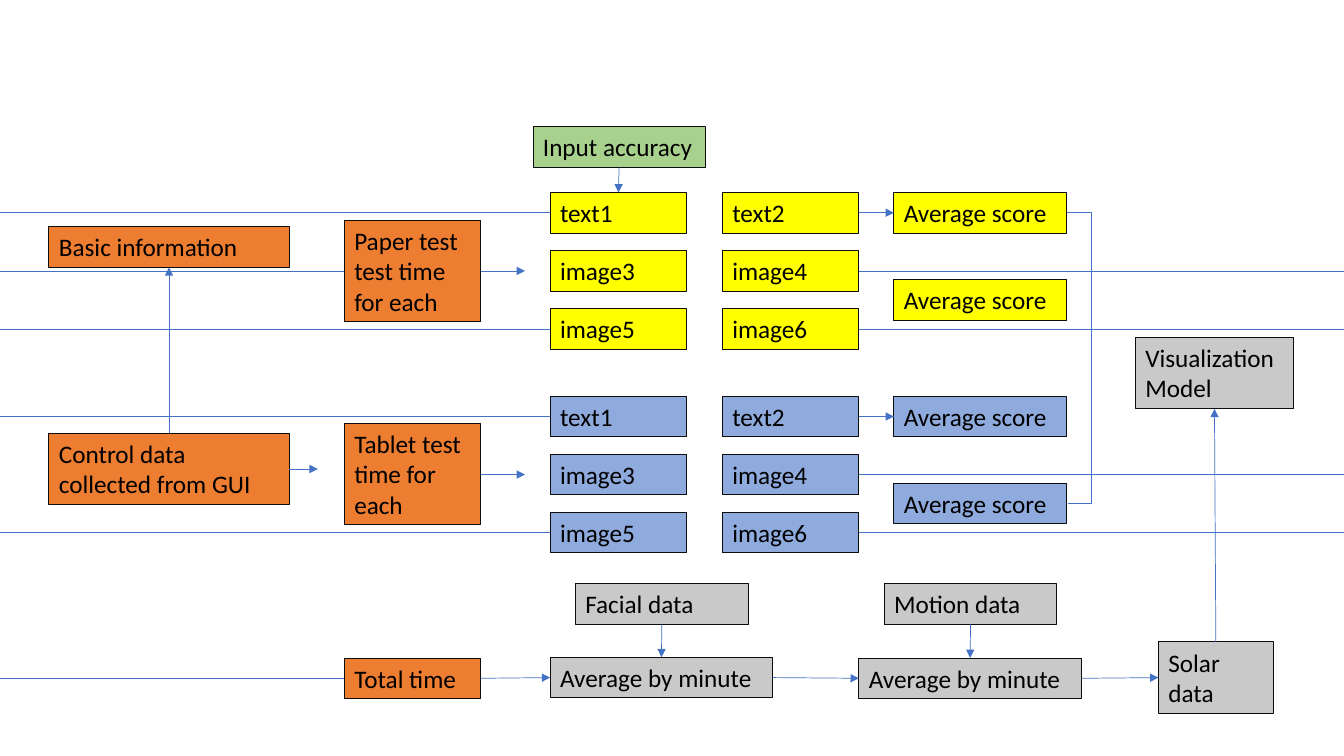
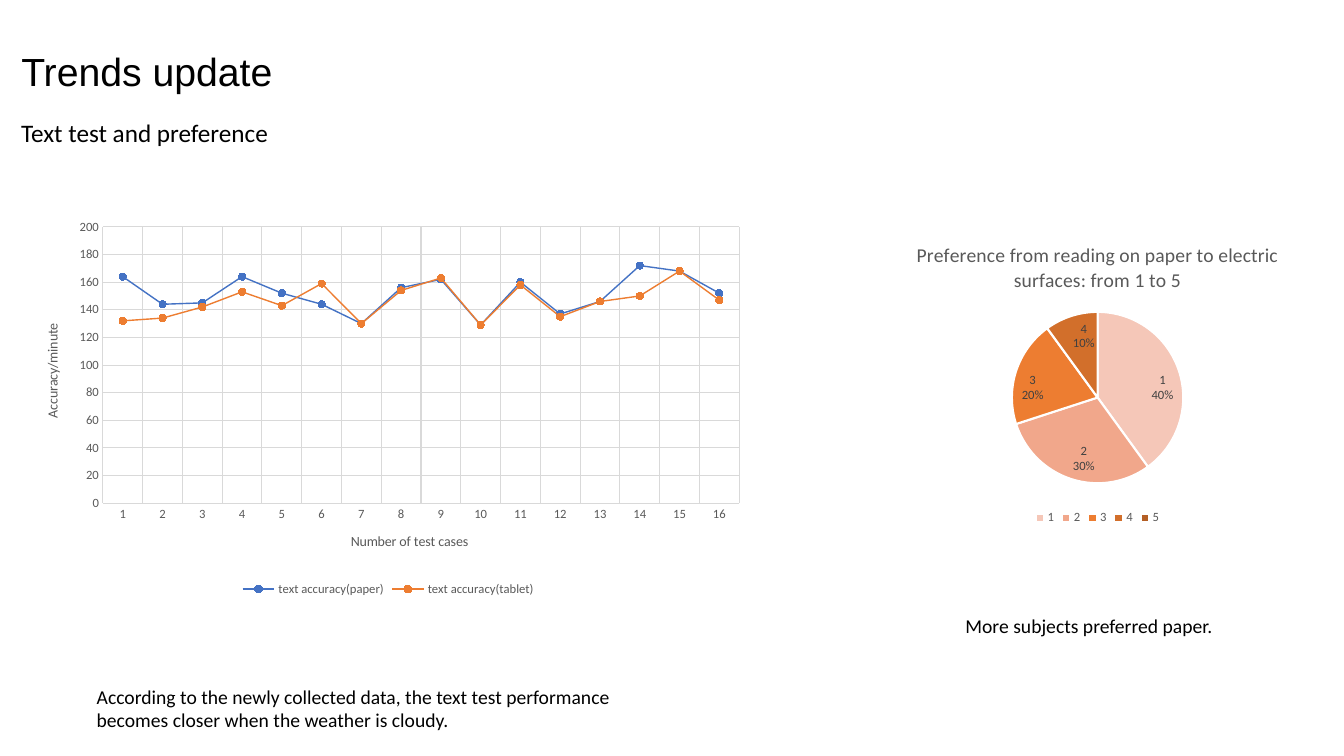
from lxml.etree import SubElement
from pptx import Presentation
from pptx.chart.data import CategoryChartData
from pptx.dml.color import RGBColor
from pptx.enum.chart import (XL_CHART_TYPE, XL_LABEL_POSITION, XL_LEGEND_POSITION,
                             XL_MARKER_STYLE, XL_TICK_MARK)
from pptx.enum.shapes import MSO_CONNECTOR
from pptx.enum.text import MSO_ANCHOR, MSO_AUTO_SIZE, PP_ALIGN
from pptx.oxml import parse_xml
from pptx.oxml.ns import qn
from pptx.util import Pt

WIDTH, HEIGHT = 960, 540
FONT, TITLE_FONT = "Calibri", "Arial"
BLACK, WHITE, BORDER = "000000", "FFFFFF", "0D0D0D"
BLUE, ORANGE = "4472C4", "ED7D31"
YELLOW, PALE_BLUE, GREEN, GREY = "FFFF00", "8FAADC", "A9D18E", "C9C9C9"
CHART_TEXT, LABEL_TEXT, GRID = "595959", "404040", "D9D9D9"
CHART_NS = "http://schemas.openxmlformats.org/drawingml/2006/chart"

# Flow boxes: key, text, fill, (left, top, width, height)
BOXES = [
    ("control", "Control data collected from GUI", ORANGE, (35, 309.5, 171.5, 51)),
    ("basic", "Basic information", ORANGE, (35, 162, 171.5, 29)),
    ("paper", "Paper test test time for each", ORANGE, (246, 157.5, 97.5, 72.5)),
    ("tablet", "Tablet test time for each", ORANGE, (246, 302.5, 97.5, 72.5)),
    ("total", "Total time", ORANGE, (246, 470, 97.5, 29)),
    ("accuracy", "Input accuracy", GREEN, (380.75, 90.5, 123, 29)),
    ("facial", "Facial data", GREY, (411, 417, 123.5, 29)),
    ("facial average", "Average by minute", GREY, (393, 469.5, 159, 29)),
    ("motion", "Motion data", GREY, (631.5, 417, 123.5, 29)),
    ("motion average", "Average by minute", GREY, (613.5, 470, 159, 29)),
    ("solar", "Solar data", GREY, (827.5, 458.5, 82, 51)),
    ("model", "Visualization Model", GREY, (811, 241, 113, 51)),
]
# Each test has a grid of three rows and two columns, then two scores
TESTS = [("paper", YELLOW, 137.5), ("tablet", PALE_BLUE, 283)]
ITEMS = [("text1", "text2"), ("image3", "image4"), ("image5", "image6")]
COLUMNS, SCORE_LEFT = (393, 516), 638.5
ITEM_W, SCORE_W, ITEM_H, ROW_STEP = 97.5, 123.5, 29, 41.5

TOP, LEFT, BOTTOM, RIGHT = range(4)  # connection sites of a rectangle
LINKS = [
    ("control", TOP, "basic", BOTTOM),
    ("accuracy", BOTTOM, "paper text1", TOP),
    ("paper text2", RIGHT, "paper score 0", LEFT),
    ("tablet text2", RIGHT, "tablet score 0", LEFT),
    ("facial", BOTTOM, "facial average", TOP),
    ("motion", BOTTOM, "motion average", TOP),
    ("total", RIGHT, "facial average", LEFT),
    ("facial average", RIGHT, "motion average", LEFT),
    ("motion average", RIGHT, "solar", LEFT),
    ("solar", TOP, "model", BOTTOM),
]
SHORT_ARROWS = [(206.5, 227, 335), (343.5, 375, 193.5), (343.5, 375, 339)]

ACCURACY = {
    "text accuracy(paper)": (BLUE, [164, 144, 145, 164, 152, 144, 130, 156,
                                    162, 129, 160, 137, 146, 172, 168, 152]),
    "text accuracy(tablet)": (ORANGE, [132, 134, 142, 153, 143, 159, 130, 154,
                                       163, 129, 158, 135, 146, 150, 168, 147]),
}
PREFERENCE = [40, 30, 20, 10, 0]
PIE_COLORS = ["F5C7B8", "F1A78B", ORANGE, "D26F2B", "B45F25"]
PIE_TITLE = "Preference from reading on paper to electric surfaces: from 1 to 5"


def rgb(value):
    return RGBColor.from_string(value)


def pts(*values):
    return [Pt(v) for v in values]


def set_font(font, size, color=BLACK, name=FONT):
    font.size, font.name, font.bold = Pt(size), name, False
    font.color.rgb = rgb(color)


def paint(fmt, color):
    fmt.fill.solid()
    fmt.fill.fore_color.rgb = rgb(color)


def stroke(line, color, width):
    line.color.rgb = rgb(color)
    line.width = Pt(width)


def add_text(s, lines, box, size, wrap=True):
    sp = s.shapes.add_textbox(*pts(*box))
    tf = sp.text_frame
    tf.word_wrap = wrap
    tf.auto_size = MSO_AUTO_SIZE.SHAPE_TO_FIT_TEXT
    tf.text = "\n".join(lines)
    for p in tf.paragraphs:
        set_font(p.font, size)
    return sp


def add_box(s, text, fill, box):
    sp = add_text(s, [text], box, 18)
    paint(sp, fill)
    stroke(sp.line, BORDER, 0.75)
    return sp


def add_line(s, start=(0, 0), end=(0, 0), arrow=False, kind=MSO_CONNECTOR.STRAIGHT):
    line = s.shapes.add_connector(kind, *pts(*start, *end))
    stroke(line.line, BLUE, 0.5)
    if arrow:
        SubElement(line.line._get_or_add_ln(), qn("a:tailEnd"), type="triangle")
    SubElement(line._element.spPr, qn("a:effectLst"))
    return line


def build_flow(s):
    boxes = {key: add_box(s, text, fill, box) for key, text, fill, box in BOXES}
    for test, fill, top in TESTS:
        for row, names in enumerate(ITEMS):
            for left, name in zip(COLUMNS, names):
                boxes[f"{test} {name}"] = add_box(
                    s, name, fill, (left, top + row * ROW_STEP, ITEM_W, ITEM_H))
        for i in range(2):
            boxes[f"{test} score {i}"] = add_box(
                s, "Average score", fill,
                (SCORE_LEFT, top + i * 1.5 * ROW_STEP, SCORE_W, ITEM_H))

    for start, start_site, end, end_site in LINKS:
        line = add_line(s, arrow=True)
        line.begin_connect(boxes[start], start_site)
        line.end_connect(boxes[end], end_site)
    for x1, x2, y in SHORT_ARROWS:
        add_line(s, (x1, y), (x2, y), arrow=True)

    # Lines that run to the slide edges
    edge_lines = [(0, 246, 193.5), (0, 246, 484.5)]
    for _, _, top in TESTS:
        mids = [top + ITEM_H / 2 + row * ROW_STEP for row in range(3)]
        edge_lines += [(0, COLUMNS[0], mids[row]) for row in (0, 2)]
        edge_lines += [(COLUMNS[1] + ITEM_W, WIDTH, mids[row]) for row in (1, 2)]
    for x1, x2, y in edge_lines:
        add_line(s, (x1, y), (x2, y))

    # Bracket from the first score to the last, 18 points out
    bracket = add_line(s, (762, 152), (763, 359.5), kind=MSO_CONNECTOR.ELBOW)
    guides = bracket._element.spPr.find(qn("a:prstGeom")).get_or_add_avLst()
    SubElement(guides, qn("a:gd"), name="adj1", fmla="val 1800000")


def set_plot_area(chart, x, y, w, h):
    """Fix the inner plot area, as fractions of the chart."""
    area = chart._chartSpace.chart.plotArea
    for old in area.findall(qn("c:layout")):
        area.remove(old)
    values = "".join(f'<c:{tag} val="{val}"/>' for tag, val in
                     zip(("x", "y", "w", "h"), (x, y, w, h)))
    area.insert(0, parse_xml(
        f'<c:layout xmlns:c="{CHART_NS}"><c:manualLayout><c:layoutTarget val="inner"/>'
        f'<c:xMode val="edge"/><c:yMode val="edge"/>{values}</c:manualLayout></c:layout>'))


def add_chart(s, kind, box, series, plot_area):
    data = CategoryChartData()
    count = len(next(iter(series.values())))
    data.categories = [str(i + 1) for i in range(count)]
    for name, values in series.items():
        data.add_series(name, values)
    chart = s.shapes.add_chart(kind, *pts(*box), data).chart
    set_font(chart.font, 10)
    chart.has_title = False
    chart.has_legend = True
    chart.legend.position = XL_LEGEND_POSITION.BOTTOM
    chart.legend.include_in_layout = False
    set_font(chart.legend.font, 9, CHART_TEXT)
    set_plot_area(chart, *plot_area)
    return chart


def set_title(title, text, size):
    title.text_frame.text = text
    set_font(title.text_frame.paragraphs[0].font, size, CHART_TEXT)


def build_accuracy_chart(s):
    chart = add_chart(s, XL_CHART_TYPE.LINE_MARKERS, (16, 151, 522.5, 278),
                      {name: values for name, (_, values) in ACCURACY.items()},
                      (0.11, 0.04, 0.87, 0.71))
    chart.plots[0].vary_by_categories = False
    for axis, text in ((chart.category_axis, "Number of test cases"),
                       (chart.value_axis, "Accuracy/minute")):
        set_title(axis.axis_title, text, 10)
        axis.major_tick_mark = axis.minor_tick_mark = XL_TICK_MARK.NONE
        axis.has_major_gridlines = True
        stroke(axis.major_gridlines.format.line, GRID, 0.75)
        set_font(axis.tick_labels.font, 9, CHART_TEXT)
    stroke(chart.category_axis.format.line, GRID, 0.75)
    value_axis = chart.value_axis
    value_axis.format.line.fill.background()
    value_axis.minimum_scale, value_axis.maximum_scale = 0, 200
    value_axis.major_unit = 20
    for series in chart.plots[0].series:
        color = ACCURACY[series.name][0]
        series.smooth = False
        stroke(series.format.line, color, 1)
        series.marker.style, series.marker.size = XL_MARKER_STYLE.CIRCLE, 5
        paint(series.marker.format, color)
        stroke(series.marker.format.line, color, 0.75)


def build_preference_chart(s):
    chart = add_chart(s, XL_CHART_TYPE.PIE, (604, 162, 360, 216),
                      {"Series 1": PREFERENCE}, (0.33, 0.28, 0.34, 0.57))
    chart.has_title = True
    set_title(chart.chart_title, PIE_TITLE, 14)
    series = chart.plots[0].series[0]
    for i, color in enumerate(PIE_COLORS):
        fmt = series.points[i].format
        paint(fmt, color)
        stroke(fmt.line, WHITE, 1.5)
    labels = series.data_labels
    labels.show_value = False
    labels.show_percentage = labels.show_category_name = True
    labels.position = XL_LABEL_POSITION.INSIDE_END
    set_font(labels.font, 9, LABEL_TEXT)
    dlbls = labels._element
    dlbls.find(qn("c:showBubbleSize")).addnext(
        parse_xml(f'<c:separator xmlns:c="{CHART_NS}">\n</c:separator>'))
    # The empty slice has no label
    dlbls.insert(0, parse_xml(f'<c:dLbl xmlns:c="{CHART_NS}"><c:idx val="4"/>'
                              '<c:delete val="1"/></c:dLbl>'))


def build_trends(s):
    title = s.shapes.title
    title.left, title.top, title.width, title.height = pts(8, 28, 556.5, 50)
    tf = title.text_frame
    tf.text = "Trends update"
    tf.vertical_anchor = MSO_ANCHOR.MIDDLE
    tf.margin_left = tf.margin_right = tf.margin_top = tf.margin_bottom = Pt(7.2)
    p = tf.paragraphs[0]
    p.alignment, p.line_spacing = PP_ALIGN.LEFT, 0.9
    set_font(p.font, 28, name=TITLE_FONT)
    add_text(s, ["Text test and preference"], (8, 80, 328.5, 29), 18)
    add_text(s, ["More subjects preferred paper."], (682.5, 435, 196, 24.5), 14, wrap=False)
    add_text(s, ["According to the newly collected data, the text test performance",
                 "becomes closer when the weather is cloudy."],
             (62, 485.5, 388, 41), 14, wrap=False)
    build_preference_chart(s)
    build_accuracy_chart(s)


def main():
    prs = Presentation()
    prs.slide_width, prs.slide_height = pts(WIDTH, HEIGHT)
    title_only, blank = prs.slide_layouts[5], prs.slide_layouts[6]
    build_flow(prs.slides.add_slide(blank))
    build_trends(prs.slides.add_slide(title_only))
    prs.save("out.pptx")


if __name__ == "__main__":
    main()
